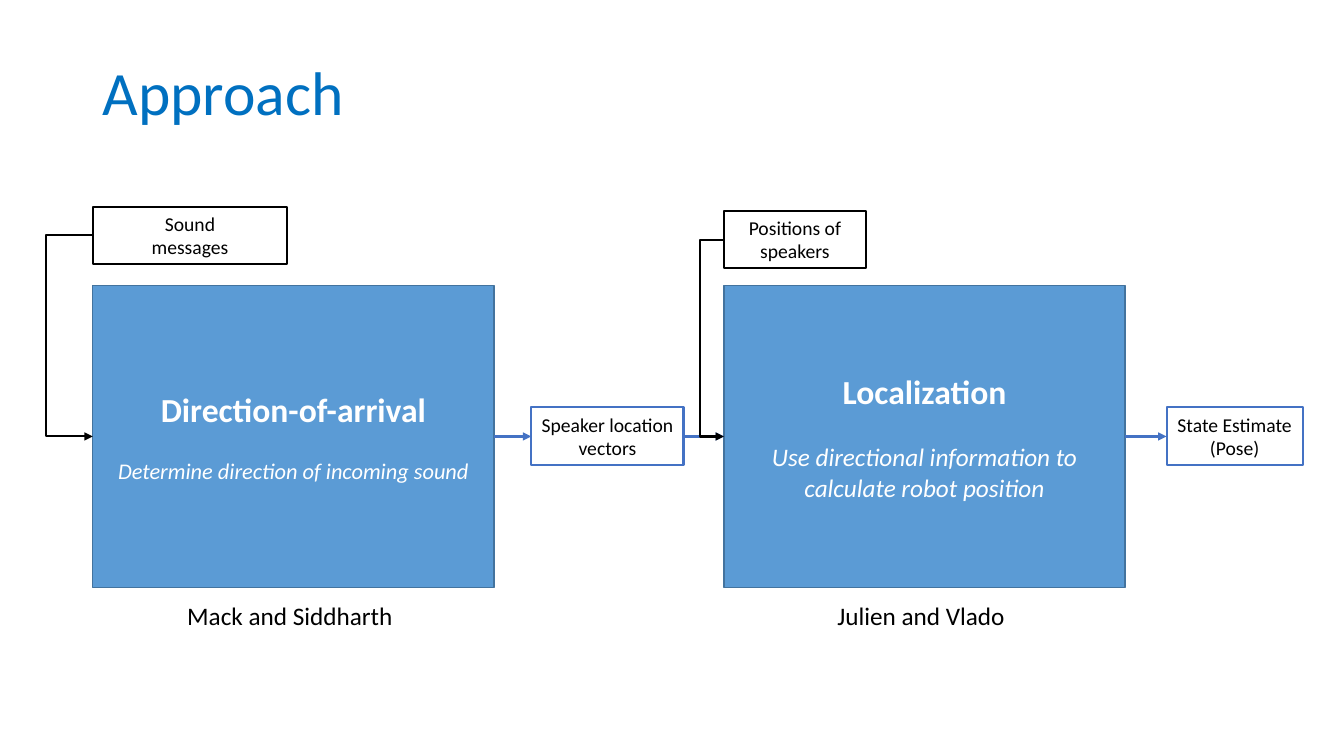
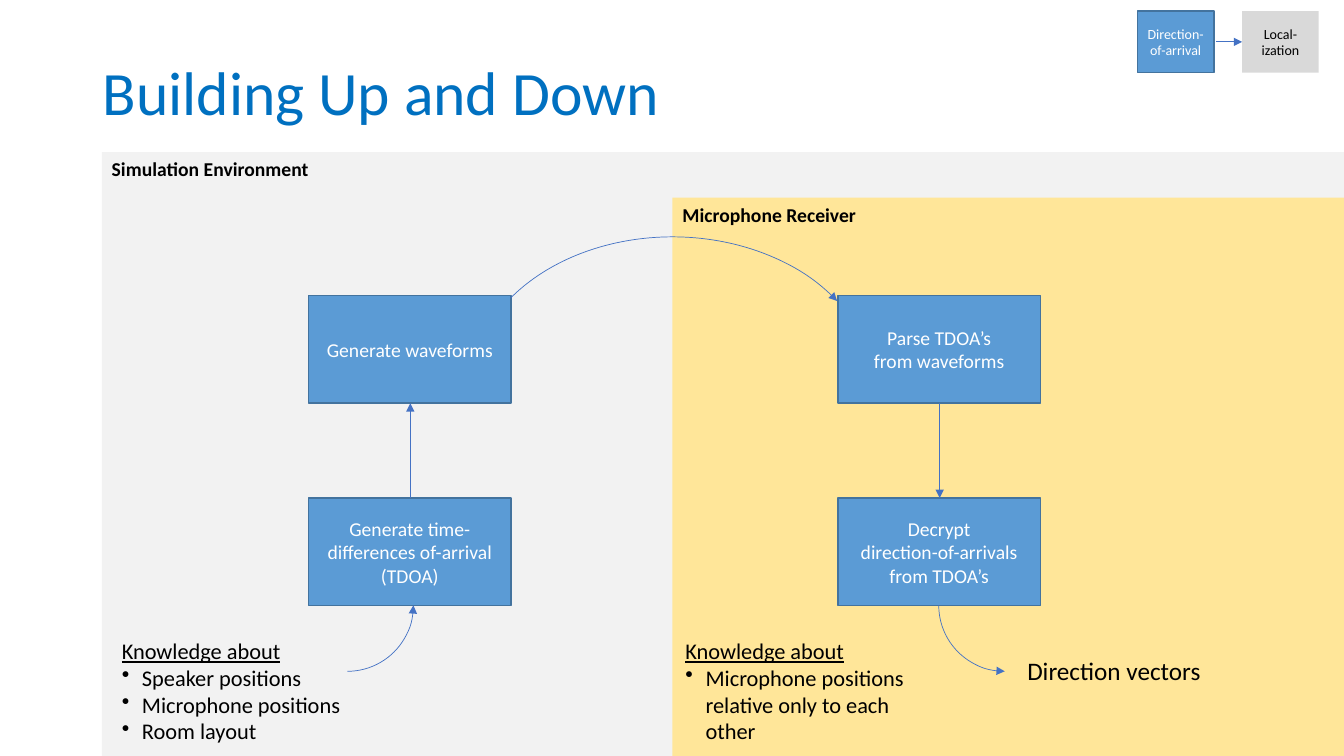
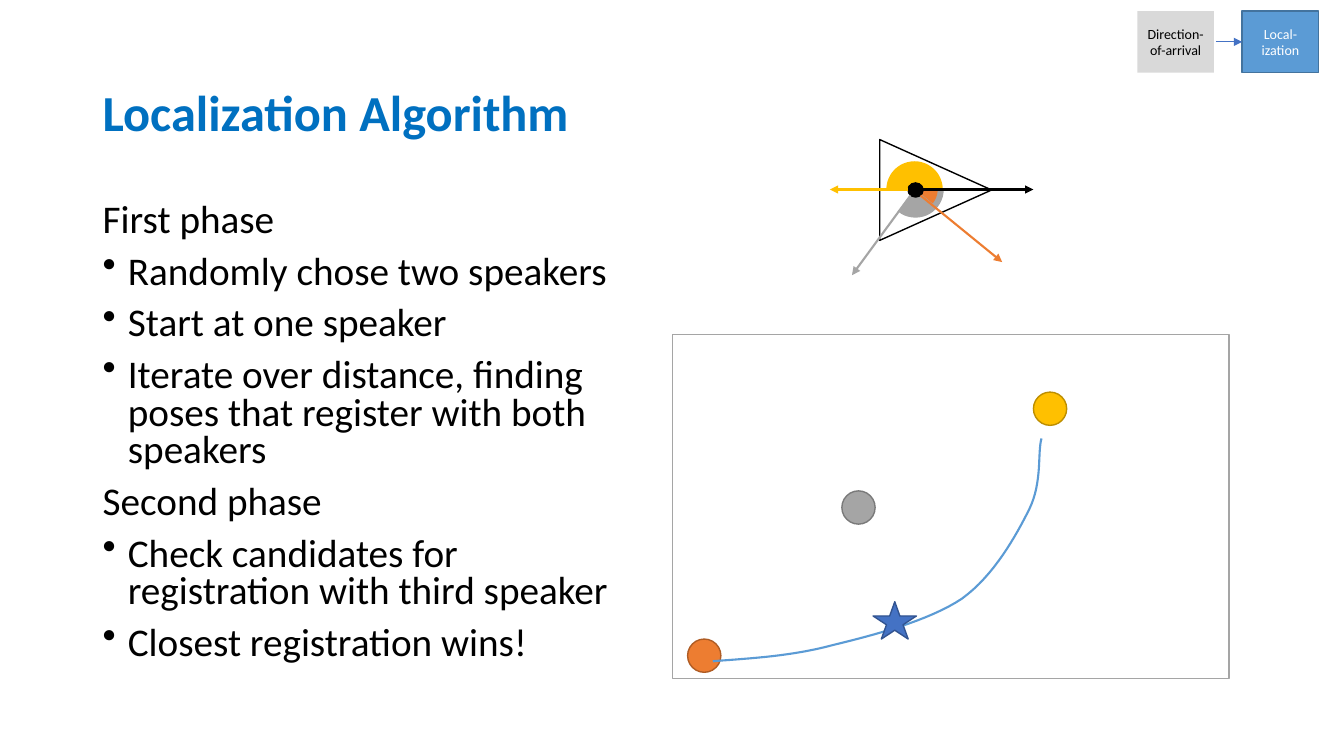
from dataclasses import dataclass

from lxml.etree import SubElement
from pptx import Presentation
from pptx.dml.color import RGBColor
from pptx.enum.shapes import MSO_CONNECTOR, MSO_SHAPE
from pptx.enum.text import MSO_ANCHOR, PP_ALIGN
from pptx.oxml.ns import qn
from pptx.util import Inches, Pt


@dataclass(frozen=True)
class Theme:
    """Colours, font and type sizes shared by the slides."""
    font: str = "Calibri"
    title: str = "0070C0"
    black: str = "000000"
    white: str = "FFFFFF"
    block: str = "5B9BD5"
    block_edge: str = "43739E"
    accent: str = "4472C4"
    accent_edge: str = "325491"
    idle: str = "D9D9D9"
    simulation: str = "F2F2F2"
    receiver: str = "FFE699"
    gray: str = "A5A5A5"
    gray_edge: str = "7A7A7A"
    orange: str = "ED7D31"
    orange_edge: str = "AF5C24"
    gold: str = "FFC000"
    gold_edge: str = "BD8E00"
    title_size: int = 44
    subtitle_size: int = 36
    body_size: int = 28
    heading_size: int = 24
    caption_size: int = 18
    list_size: int = 16
    label_size: int = 14
    tracker_size: int = 10


@dataclass(frozen=True)
class Box:
    """A rectangle measured in inches."""
    left: float
    top: float
    width: float
    height: float

    def inner(self, left, top, width, height):
        """Return a box placed relative to this one."""
        return Box(self.left + left, self.top + top, width, height)

    def point(self, left, top):
        """Return a point placed relative to this box."""
        return self.left + left, self.top + top

    def lengths(self):
        """Return the four sides as lengths."""
        return [Inches(side) for side in (self.left, self.top, self.width, self.height)]


@dataclass(frozen=True)
class Line:
    """One paragraph and its formatting."""
    text: str
    size: int
    color: str = "000000"
    bold: bool = False
    italic: bool = False
    underline: bool = False
    indent: float = 0
    before: float = 0
    spacing: float = 1


THEME = Theme()
TITLE_BOX = Box(0.92, 0.22, 11.5, 1.45)
TRACKER_BOX = Box(11.28, 0.11, 1.8, 0.61)


def write(frame, lines, align=PP_ALIGN.LEFT, anchor=MSO_ANCHOR.TOP, margin=0.1):
    """Fill a text frame with paragraphs."""
    frame.word_wrap = True
    frame.vertical_anchor = anchor
    frame.margin_left = frame.margin_right = Inches(margin)
    for index, line in enumerate(lines):
        paragraph = frame.paragraphs[0] if index == 0 else frame.add_paragraph()
        paragraph.alignment = align
        paragraph.space_before = Pt(line.before)
        paragraph.line_spacing = line.spacing
        if line.indent:
            properties = paragraph._p.get_or_add_pPr()
            properties.set("marL", str(Inches(line.indent)))
            properties.set("indent", str(-Inches(line.indent)))
            SubElement(properties, qn("a:buChar"), char="•")
        run = paragraph.add_run()
        run.text = line.text
        run.font.name = THEME.font
        run.font.size = Pt(line.size)
        run.font.color.rgb = RGBColor.from_string(line.color)
        run.font.bold = line.bold
        run.font.italic = line.italic
        run.font.underline = line.underline


def add_label(slide, box, lines, **layout):
    """Add a text box."""
    write(slide.shapes.add_textbox(*box.lengths()).text_frame, lines, **layout)


def style_line(line, color, width):
    """Colour a line and set its width."""
    line.fill.solid()
    line.fill.fore_color.rgb = RGBColor.from_string(color)
    line.width = Pt(width)


def style_shape(shape, fill, edge, width):
    """Set fill and outline, either of which may be absent."""
    shape.shadow.inherit = False
    if fill:
        shape.fill.solid()
        shape.fill.fore_color.rgb = RGBColor.from_string(fill)
    else:
        shape.fill.background()
    if edge:
        style_line(shape.line, edge, width)
    else:
        shape.line.fill.background()


def add_figure(slide, kind, box, fill=None, edge=None, width=1, rotation=0, angles=()):
    """Add a preset shape, with angles in degrees for arcs and pies."""
    shape = slide.shapes.add_shape(kind, *box.lengths())
    style_shape(shape, fill, edge, width)
    shape.rotation = rotation
    for index, angle in enumerate(angles):
        shape.adjustments[index] = angle * 0.6
    return shape


def add_block(slide, box, lines, fill=THEME.block, edge=THEME.block_edge, width=1, margin=0.1):
    """Add a rectangle with centred text."""
    shape = add_figure(slide, MSO_SHAPE.RECTANGLE, box, fill, edge, width)
    write(shape.text_frame, lines, PP_ALIGN.CENTER, MSO_ANCHOR.MIDDLE, margin)


def add_arrowhead(line, end="a:tailEnd"):
    """Put a triangle at one end of a line."""
    SubElement(line._get_or_add_ln(), qn(end), type="triangle")


def add_arrow(slide, start, end, color=THEME.accent, width=1.5, elbow=None):
    """Add an arrow, bent at the horizontal position elbow if given."""
    kind = MSO_CONNECTOR.STRAIGHT if elbow is None else MSO_CONNECTOR.ELBOW
    connector = slide.shapes.add_connector(kind, *map(Inches, (*start, *end)))
    style_line(connector.line, color, width)
    add_arrowhead(connector.line)
    properties = connector._element.spPr
    SubElement(properties, qn("a:effectLst"))
    if elbow is not None:
        bend = round((elbow - start[0]) / (end[0] - start[0]) * 100000)
        guides = properties.find(qn("a:prstGeom")).find(qn("a:avLst"))
        SubElement(guides, qn("a:gd"), name="adj1", fmla=f"val {bend}")


def add_arc(slide, box, rotation=0, angles=(), end="a:headEnd"):
    """Add a thin curved arrow."""
    arc = add_figure(slide, MSO_SHAPE.ARC, box, None, THEME.accent, 0.5, rotation, angles)
    add_arrowhead(arc.line, end)


def add_title(slide, box, text, size=THEME.title_size, bold=False):
    """Add the slide title."""
    line = Line(text, size, THEME.title, bold, spacing=0.9)
    add_label(slide, box, [line], anchor=MSO_ANCHOR.MIDDLE)


def add_tracker(slide, box, active):
    """Show the two stages with the active one highlighted."""
    for index, text in enumerate(("Direction-of-arrival", "Local-ization")):
        is_active = index == active
        add_block(
            slide, box.inner(index * 1.04, 0, 0.76, box.height),
            [Line(text, THEME.tracker_size, THEME.white if is_active else THEME.black)],
            THEME.block if is_active else THEME.idle,
            THEME.block_edge if is_active else None, margin=0.05)
    middle = box.height / 2
    add_arrow(slide, box.point(0.78, middle), box.point(1.04, middle), width=0.5)


def add_stage(slide, box, heading, summary, size, team):
    """Add a large stage block with its team below."""
    add_block(slide, box, [
        Line(heading, THEME.heading_size, THEME.white, bold=True),
        Line(summary, size, THEME.white, italic=True, before=size * 1.22)])
    add_label(slide, box.inner(-0.05, 3.08, 4.01, 0.4),
              [Line(team, THEME.caption_size)], align=PP_ALIGN.CENTER)


def add_data(slide, box, texts, edge=THEME.accent):
    """Add a small outlined box naming data."""
    add_block(slide, box, [Line(text, THEME.label_size) for text in texts],
              THEME.white, edge, 1.5)


def add_pipeline(slide, box):
    """Draw the two stages with their inputs and outputs."""
    arrival = box.inner(0, 0, 3.98, 3)
    localization = box.inner(6.26, 0, 3.98, 3)
    add_stage(slide, arrival, "Direction-of-arrival", "Determine direction of incoming sound",
              THEME.list_size, "Mack and Siddharth")
    add_stage(slide, localization, "Localization",
              "Use directional information to calculate robot position",
              THEME.caption_size, "Julien and Vlado")
    add_data(slide, box.inner(4.35, 1.21, 1.51, 0.57), ["Speaker location vectors"])
    add_data(slide, box.inner(10.65, 1.21, 1.35, 0.57), ["State Estimate", "(Pose)"])
    add_data(slide, arrival.inner(0, -0.78, 1.93, 0.57), ["Sound", "messages"], THEME.black)
    add_data(slide, localization.inner(0, -0.74, 1.41, 0.57), ["Positions of speakers"],
             THEME.black)
    for start, end in ((3.98, 4.35), (5.86, 6.26), (10.24, 10.65)):
        add_arrow(slide, box.point(start, 1.5), box.point(end, 1.5))
    for stage, top, reach in ((arrival, -0.5, 0.47), (localization, -0.45, 0.24)):
        add_arrow(slide, stage.point(0.01, top), stage.point(0, 1.5), THEME.black,
                  elbow=stage.left - reach)


def add_region(slide, box, name, fill):
    """Add a coloured region with its name at the top left."""
    add_figure(slide, MSO_SHAPE.RECTANGLE, box, fill)
    add_label(slide, box.inner(0, 0, 3.3, 0.34), [Line(name, THEME.label_size, bold=True)])


def add_knowledge(slide, box, facts):
    """List what a region knows."""
    lines = [Line("Knowledge about", THEME.list_size, underline=True)]
    lines += [Line(fact, THEME.list_size, indent=0.2) for fact in facts]
    add_label(slide, box, lines)


def add_steps(slide, box, upper, lower):
    """Stack two processing steps."""
    for top, texts in ((0, upper), (2.01, lower)):
        add_block(slide, box.inner(0, top, 2.01, 1.07),
                  [Line(text, THEME.label_size, THEME.white) for text in texts])


def add_simulation(slide, box):
    """Draw the simulation environment and the receiver inside it."""
    receiver = box.inner(5.66, 0.45, 6.66, 5.54)
    add_region(slide, box, "Simulation Environment", THEME.simulation)
    add_region(slide, receiver, "Microphone Receiver", THEME.receiver)
    generating = box.inner(2.05, 1.42, 2.01, 3.08)
    parsing = receiver.inner(1.64, 0.97, 2.01, 3.08)
    add_steps(slide, generating, ["Generate waveforms"],
              ["Generate time-differences of-arrival (TDOA)"])
    add_steps(slide, parsing, ["Parse TDOA’s", "from waveforms"],
              ["Decrypt", "direction-of-arrivals", "from TDOA’s"])
    add_arrow(slide, generating.point(1.01, 2.01), generating.point(1.01, 1.07), width=0.5)
    add_arrow(slide, parsing.point(1.01, 1.07), parsing.point(1.01, 2.01), width=0.5)
    add_arc(slide, generating.inner(-0.27, 2.42, 1.31, 1.31), 90)
    add_arc(slide, parsing.inner(1, 2.42, 1.31, 1.31), 180)
    add_arc(slide, generating.inner(1.6, -0.58, 4.02, 3.05), 0, (209.7, 331.44), "a:tailEnd")
    add_label(slide, receiver.inner(3.42, 4.49, 2.51, 0.4),
              [Line("Direction vectors", THEME.caption_size)])
    add_knowledge(slide, box.inner(0.1, 4.76, 2.51, 1.18),
                  ["Speaker positions", "Microphone positions", "Room layout"])
    add_knowledge(slide, receiver.inner(0.03, 4.31, 2.51, 1.18),
                  ["Microphone positions relative only to each other"])


def add_phases(slide, box):
    """List the phases of the algorithm."""
    phases = {
        "First phase": ["Randomly chose two speakers", "Start at one speaker",
                        "Iterate over distance, finding poses that register with both speakers"],
        "Second phase": ["Check candidates for registration with third speaker",
                         "Closest registration wins!"],
    }
    lines = []
    for phase, steps in phases.items():
        for index, text in enumerate([phase, *steps]):
            lines.append(Line(text, THEME.body_size, indent=0.25 if index else 0,
                              before=10, spacing=0.8))
    add_label(slide, box, lines)


def add_robot(slide, box):
    """Draw the robot with the directions it hears."""
    pie, triangle, oval = MSO_SHAPE.PIE, MSO_SHAPE.ISOSCELES_TRIANGLE, MSO_SHAPE.OVAL
    add_figure(slide, pie, box.inner(0.57, 0.27, 0.56, 0.56), THEME.gray,
               rotation=90, angles=(270.22, 39.05))
    add_figure(slide, pie, box.inner(0.63, 0.33, 0.44, 0.44), THEME.orange,
               rotation=90, angles=(270.06, 308.94))
    add_figure(slide, triangle, box.inner(0.55, 0, 1, 1.11), edge=THEME.black, rotation=90)
    add_figure(slide, pie, box.inner(0.56, 0.27, 0.56, 0.56), THEME.gold,
               rotation=90, angles=(90.24, 270))
    add_figure(slide, oval, box.inner(0.78, 0.48, 0.14, 0.15), THEME.black, THEME.black,
               rotation=90)
    for start, end, color in (
            ((0.9, 0.61), (1.71, 1.27), THEME.orange),
            ((0.8, 0.61), (0.22, 1.4), THEME.gray),
            ((0.78, 0.55), (0, 0.55), THEME.gold),
            ((0.92, 0.55), (2.02, 0.55), THEME.black)):
        add_arrow(slide, box.point(*start), box.point(*end), color)


def bezier(points, share):
    """Return the point at a share of a cubic curve."""
    rest = 1 - share
    weights = (rest ** 3, 3 * rest ** 2 * share, 3 * rest * share ** 2, share ** 3)
    return tuple(sum(weight * point[axis] for weight, point in zip(weights, points))
                 for axis in (0, 1))


def add_trajectory(slide, box):
    """Draw the smooth curve of candidate poses."""
    controls = [(0.4, 3.24), (0.79, 3.21), (1.18, 3.19), (1.59, 3.08),
                (2, 2.98), (2.54, 2.84), (2.87, 2.62),
                (3.19, 2.39), (3.41, 1.99), (3.54, 1.73),
                (3.67, 1.46), (3.62, 1.17), (3.66, 1.03)]
    steps = 16
    curve = [controls[0]]
    for first in range(0, len(controls) - 1, 3):
        curve += [bezier(controls[first:first + 4], step / steps)
                  for step in range(1, steps + 1)]
    points = [tuple(map(Inches, box.point(*point))) for point in curve]
    builder = slide.shapes.build_freeform(*points[0])
    builder.add_line_segments(points[1:], close=False)
    style_shape(builder.convert_to_shape(), None, THEME.block, 1.5)


def add_map(slide, box):
    """Draw the room with speakers, candidate poses and the best one."""
    add_figure(slide, MSO_SHAPE.RECTANGLE, box, THEME.white, THEME.gray)
    for left, top, fill, edge in (
            (0.15, 3.02, THEME.orange, THEME.orange_edge),
            (1.68, 1.55, THEME.gray, THEME.gray_edge),
            (3.58, 0.57, THEME.gold, THEME.gold_edge)):
        add_figure(slide, MSO_SHAPE.OVAL, box.inner(left, top, 0.33, 0.33), fill, edge)
    add_trajectory(slide, box)
    add_figure(slide, MSO_SHAPE.STAR_5_POINT, box.inner(1.99, 2.65, 0.43, 0.37),
               THEME.accent, THEME.accent_edge)


def build_approach(slide):
    """Build the approach slide."""
    add_title(slide, TITLE_BOX, "Approach")
    add_pipeline(slide, Box(0.92, 2.83, 12, 3))


def build_simulation(slide):
    """Build the simulation slide."""
    add_title(slide, TITLE_BOX, "Building Up and Down")
    add_simulation(slide, Box(1.01, 1.51, 12.32, 5.99))
    add_tracker(slide, TRACKER_BOX, 0)


def build_algorithm(slide):
    """Build the localization algorithm slide."""
    add_title(slide, TITLE_BOX.inner(0, 0.2, 11.5, 1.45), "Localization Algorithm",
              THEME.subtitle_size, True)
    add_phases(slide, Box(0.92, 1.97, 5.59, 4.76))
    add_tracker(slide, TRACKER_BOX, 1)
    add_map(slide, Box(6.67, 3.32, 5.52, 3.41))
    add_robot(slide, Box(8.23, 1.33, 2.02, 1.4))


def main():
    """Build and save the presentation."""
    presentation = Presentation()
    presentation.slide_width = Inches(13.33)
    presentation.slide_height = Inches(7.5)
    for build in (build_approach, build_simulation, build_algorithm):
        build(presentation.slides.add_slide(presentation.slide_layouts[6]))
    presentation.save("out.pptx")


main()
